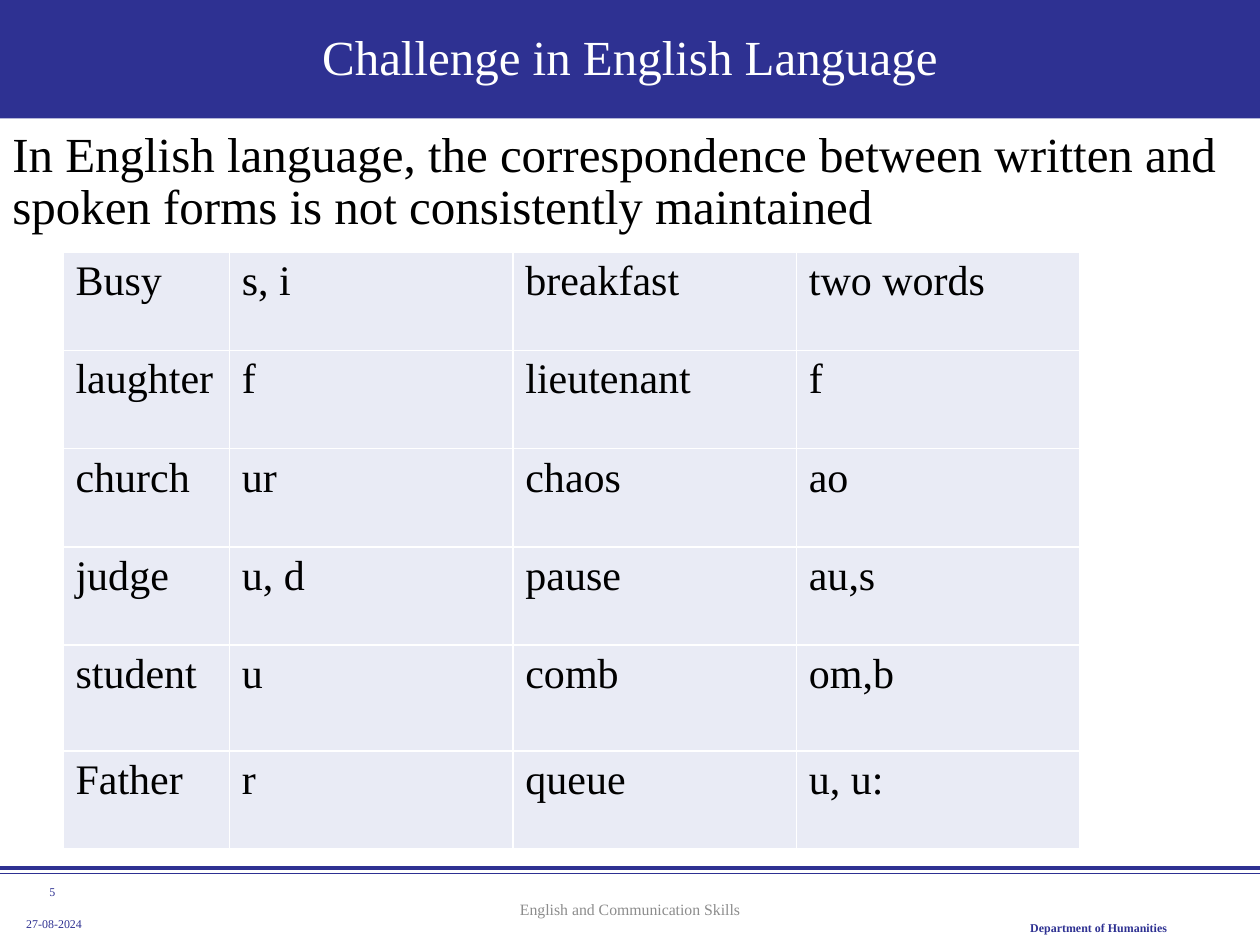
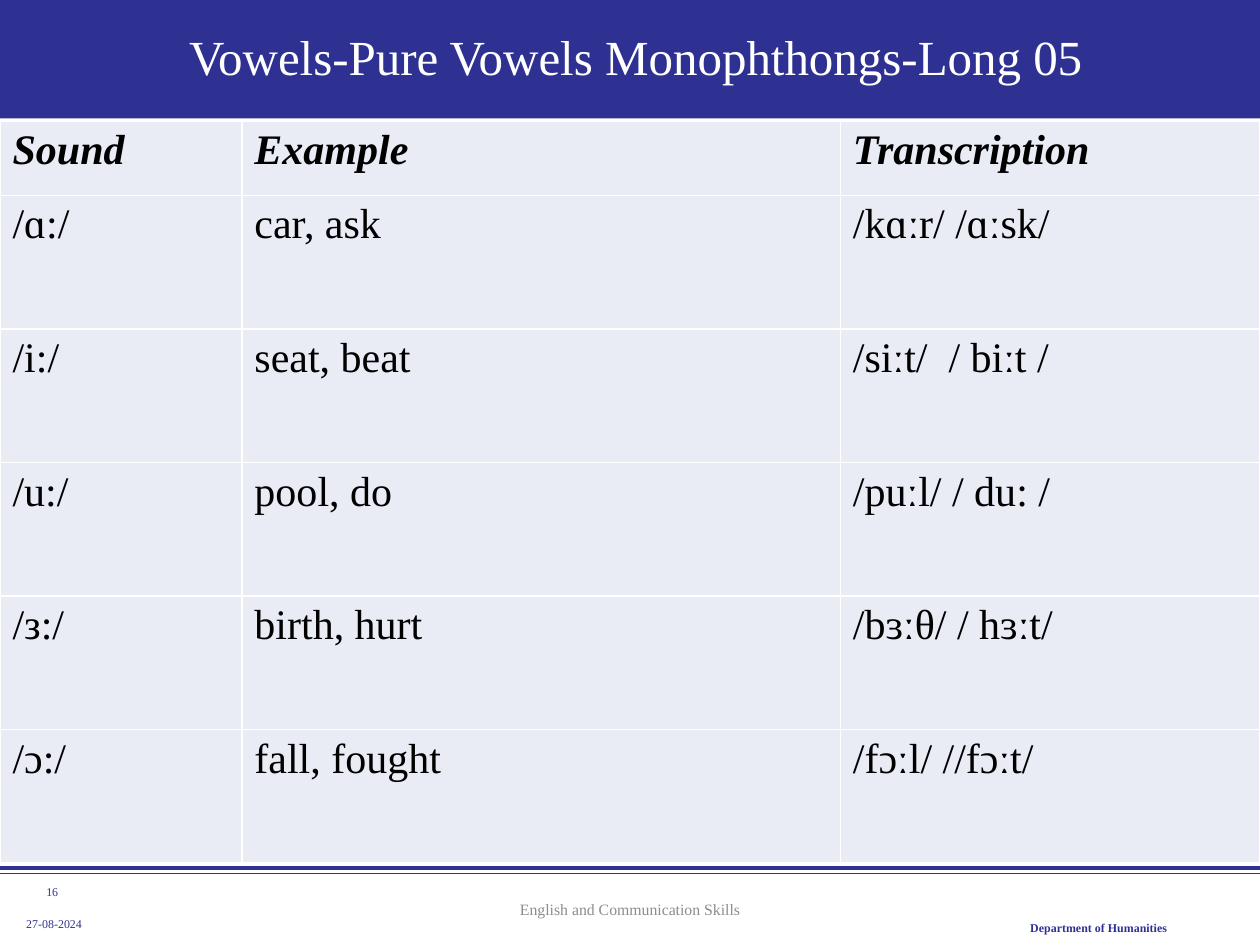
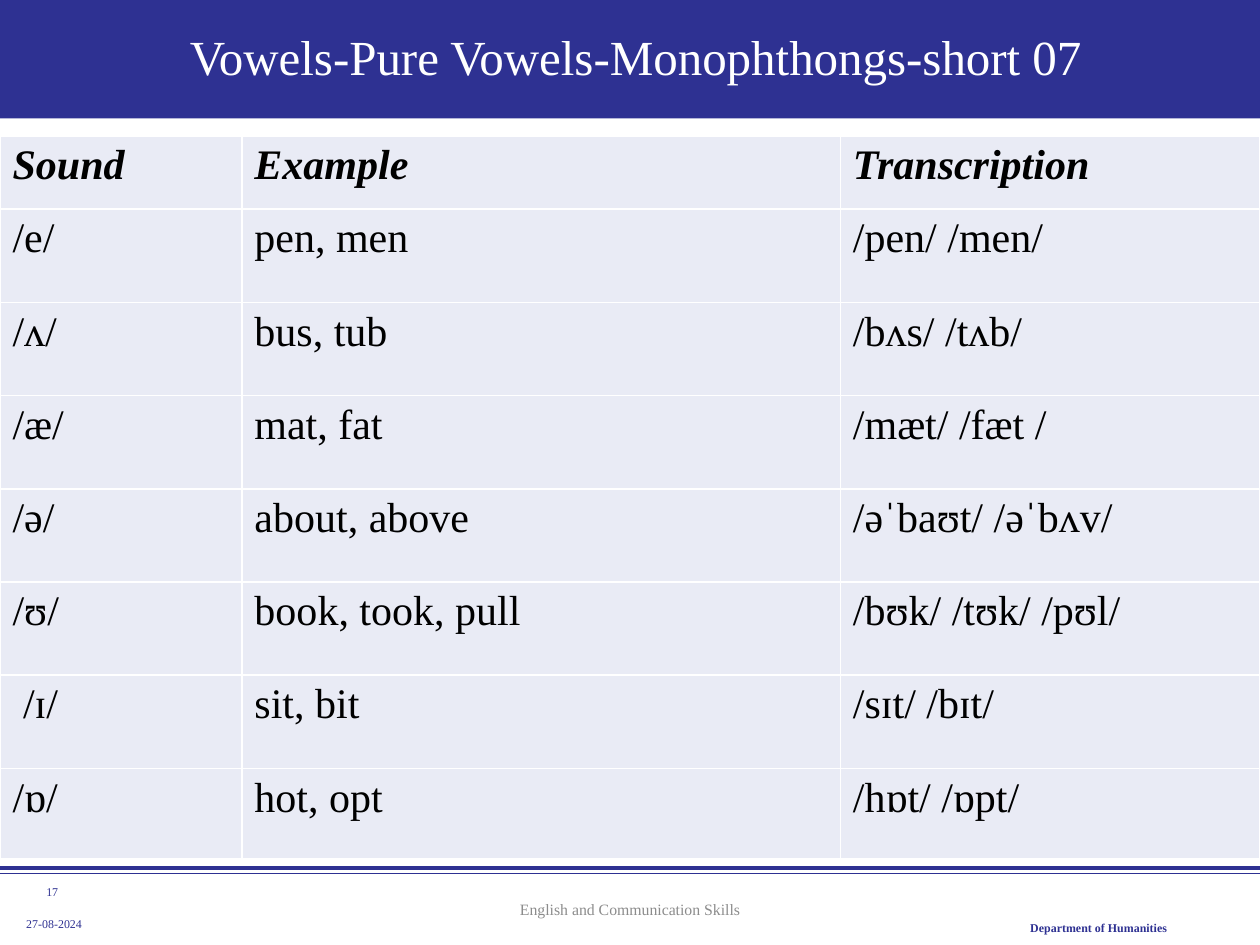
from pptx import Presentation
from pptx import util as u
from pptx.dml import color
from pptx.enum import shapes, text
from pptx.oxml import ns
from lxml import etree

NAVY, WHITE, BLACK, GREY, PALE = "2E3192", "FFFFFF", "000000", "8C8C8C", "E9EBF5"
FONT = "Times New Roman"
CENTER, LEFT = text.PP_ALIGN.CENTER, text.PP_ALIGN.LEFT
MIDDLE, TOP = text.MSO_ANCHOR.MIDDLE, text.MSO_ANCHOR.TOP


def rgb(value):
    return color.RGBColor.from_string(value)


def add_border(cell, width):
    properties = cell._tc.get_or_add_tcPr()
    for position, side in enumerate(("lnL", "lnR", "lnT", "lnB")):
        edge = etree.Element(ns.qn(f"a:{side}"), w=str(u.Pt(width)))
        solid = etree.SubElement(edge, ns.qn("a:solidFill"))
        etree.SubElement(solid, ns.qn("a:srgbClr"), val=WHITE)
        properties.insert(position, edge)


class Lesson:
    def __init__(self):
        self.deck = Presentation()
        self.deck.slide_width, self.deck.slide_height = u.Inches(10), u.Inches(7.5)
        self.slide = None

    def start(self, title, number):
        self.slide = self.deck.slides.add_slide(self.deck.slide_layouts[5])
        self.title(title)
        self.rule(6.93, 0.5)
        self.rule(6.89, 2)
        department = self.label("Department of Humanities", (7.49, 7.27, 2.46, 0.19), 6.8,
                                NAVY, CENTER, TOP, (0.07, 0.04), bold=True)
        department.text_frame.auto_size = text.MSO_AUTO_SIZE.SHAPE_TO_FIT_TEXT
        self.label(str(number), (0.06, 6.98, 0.71, 0.19), 6.8, NAVY, CENTER, MIDDLE, (0, 0))
        self.label("27-08-2024", (0.11, 7.13, 0.8, 0.4), 6.8, NAVY, LEFT, MIDDLE)
        self.label("English and Communication Skills", (3.31, 7.02, 3.38, 0.4), 9,
                   GREY, CENTER, MIDDLE)

    def style(self, paragraph, size, ink, bold=False, italic=False):
        font = paragraph.font
        font.name, font.size = FONT, u.Pt(size)
        font.bold, font.italic = bold, italic
        font.color.rgb = rgb(ink)

    def title(self, words):
        band = self.slide.shapes.title
        band.left, band.top, band.width, band.height = map(u.Inches, (0, 0, 10, 0.94))
        band.fill.solid()
        band.fill.fore_color.rgb = rgb(NAVY)
        frame = band.text_frame
        frame.text = words
        frame.auto_size = text.MSO_AUTO_SIZE.NONE
        frame.vertical_anchor = MIDDLE
        heading = frame.paragraphs[0]
        heading.alignment, heading.line_spacing = CENTER, 0.9
        self.style(heading, 28, WHITE)

    def rule(self, y, width):
        line = self.slide.shapes.add_connector(
            shapes.MSO_CONNECTOR.STRAIGHT, 0, u.Inches(y), u.Inches(10), u.Inches(y))
        line.line.color.rgb = rgb(NAVY)
        line.line.width = u.Pt(width)
        etree.SubElement(line._element.spPr, ns.qn("a:effectLst"))

    def label(self, words, box, size, ink, align=LEFT, anchor=TOP, inset=(0.1, 0.05),
              bold=False, spacing=1.0):
        area = self.slide.shapes.add_textbox(*map(u.Inches, box))
        frame = area.text_frame
        frame.word_wrap, frame.vertical_anchor = True, anchor
        frame.margin_left = frame.margin_right = u.Inches(inset[0])
        frame.margin_top = frame.margin_bottom = u.Inches(inset[1])
        frame.text = words
        paragraph = frame.paragraphs[0]
        paragraph.alignment, paragraph.line_spacing = align, spacing
        self.style(paragraph, size, ink, bold)
        return area

    def table(self, rows, left, top, widths, heights, header=False):
        grid = self.slide.shapes.add_table(
            len(rows), len(widths), u.Inches(left), u.Inches(top),
            u.Inches(sum(widths)), u.Inches(sum(heights))).table
        grid.first_row, grid.horz_banding = header, False
        for column, width in zip(grid.columns, widths):
            column.width = u.Inches(width)
        for r, (entries, height) in enumerate(zip(rows, heights)):
            grid.rows[r].height = u.Inches(height)
            emphasis = header and r == 0
            for c, entry in enumerate(entries):
                cell = grid.cell(r, c)
                cell.text = entry
                cell.fill.solid()
                cell.fill.fore_color.rgb = rgb(PALE)
                add_border(cell, 1)
                self.style(cell.text_frame.paragraphs[0], 24, BLACK, emphasis, emphasis)

    def vowels(self, sounds, top, heights):
        rows = [("Sound", "Example", "Transcription"), *sounds]
        self.table(rows, 0, top, (1.92, 4.75, 3.33), heights, header=True)


SPELLINGS = [
    ("Busy", "s, i", "breakfast", "two words"),
    ("laughter", "f", "lieutenant", "f"),
    ("church", "ur", "chaos", "ao"),
    ("judge", "u, d", "pause", "au,s"),
    ("student", "u", "comb", "om,b"),
    ("Father", "r", "queue", "u, u:"),
]
LONG_VOWELS = [
    ("/ɑ:/", "car, ask", "/kɑːr/ /ɑːsk/"),
    ("/i:/", "seat, beat", "/siːt/  / biːt /"),
    ("/u:/", "pool, do", "/puːl/ / du: /"),
    ("/з:/", "birth, hurt", "/bɜːθ/ / hɜːt/"),
    ("/ɔ:/", "fall, fought", "/fɔːl/ //fɔːt/"),
]
SHORT_VOWELS = [
    ("/e/", "pen, men", "/pen/ /men/"),
    ("/ʌ/", "bus, tub", "/bʌs/ /tʌb/"),
    ("/æ/", "mat, fat", "/mæt/ /fæt /"),
    ("/ə/", "about, above", "/əˈbaʊt/ /əˈbʌv/"),
    ("/ʊ/", "book, took, pull", "/bʊk/ /tʊk/ /pʊl/"),
    (" /ɪ/", "sit, bit", "/sɪt/ /bɪt/"),
    ("/ɒ/", "hot, opt", "/hɒt/ /ɒpt/"),
]


def main():
    lesson = Lesson()

    lesson.start("Challenge in English Language", 5)
    lesson.label("In English language, the correspondence between written and spoken forms "
                 "is not consistently maintained", (0, 0.98, 10, 5.92), 28, BLACK, spacing=0.9)
    lesson.table(SPELLINGS, 0.5, 2, [1.32] + [2.25] * 3, [0.78] * 4 + [0.84, 0.78])

    lesson.start(" Vowels-Pure Vowels Monophthongs-Long 05", 16)
    lesson.vowels(LONG_VOWELS, 0.96, [0.59] + [1.06] * 5)

    lesson.start(" Vowels-Pure Vowels-Monophthongs-short 07", 17)
    lesson.vowels(SHORT_VOWELS, 1.08, [0.58] + [0.74] * 6 + [0.72])

    lesson.deck.save("out.pptx")


if __name__ == "__main__":
    main()
